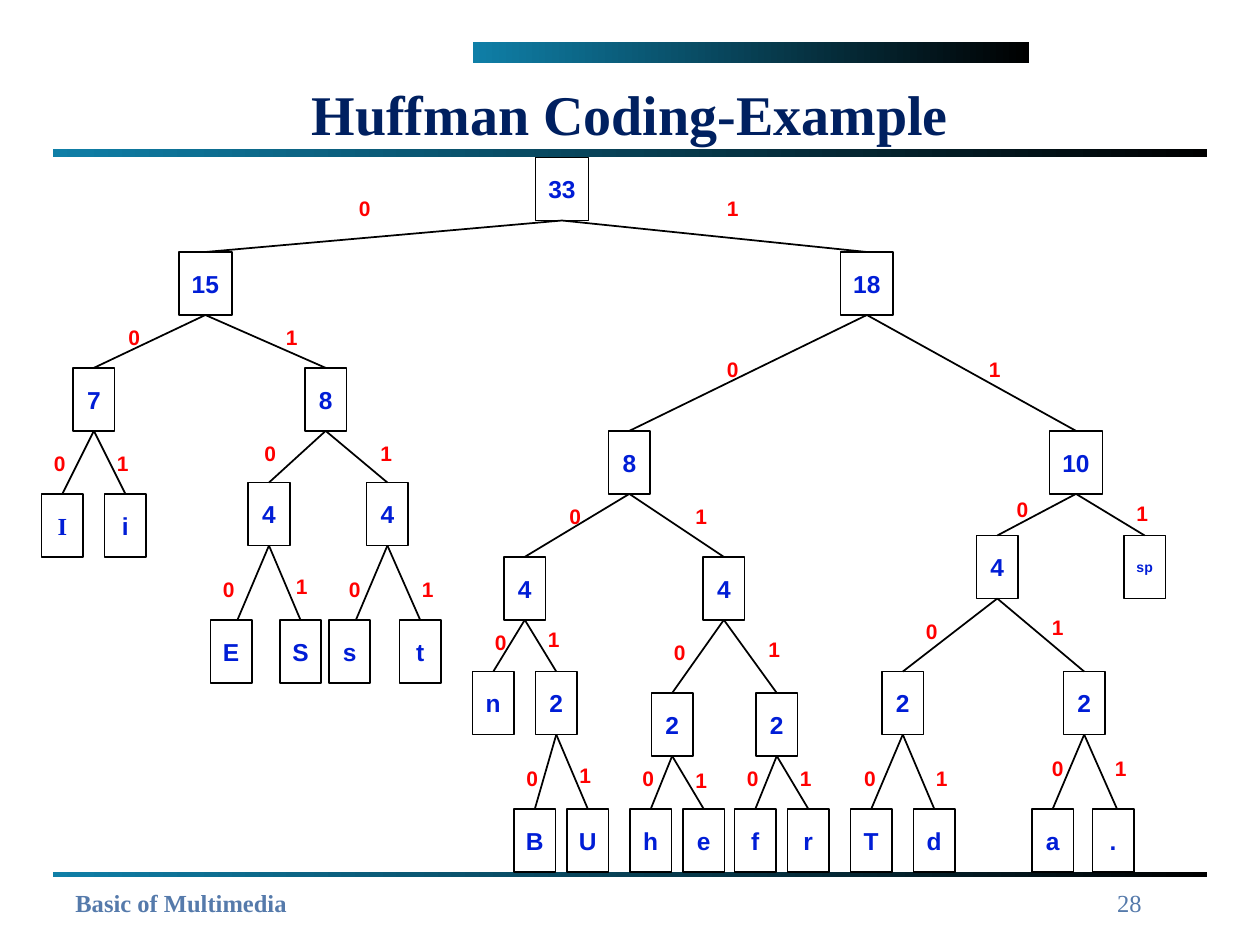
from dataclasses import dataclass
from typing import Optional

from lxml import etree
from pptx import Presentation
from pptx.dml.color import RGBColor
from pptx.enum.shapes import MSO_CONNECTOR, MSO_SHAPE
from pptx.enum.text import MSO_ANCHOR, PP_ALIGN
from pptx.oxml.ns import qn
from pptx.util import Inches, Pt

RECTANGLE = MSO_SHAPE.RECTANGLE
STRAIGHT = MSO_CONNECTOR.STRAIGHT
MIDDLE, TOP = MSO_ANCHOR.MIDDLE, MSO_ANCHOR.TOP
LEFT, CENTER, RIGHT = PP_ALIGN.LEFT, PP_ALIGN.CENTER, PP_ALIGN.RIGHT
TITLE_ONLY = 5
SERIF, SANS = "Times New Roman", "Arial"
BLACK, WHITE = "000000", "FFFFFF"
TEAL, NAVY, STEEL = "0F7FA7", "002060", "557AAB"
NODE_BLUE, BIT_RED = "001DD6", "FF0000"
NODE_HEIGHT, NODE_WIDTH, WIDE_NODE = 0.5, 0.33, 0.42

TITLE_FONT = {"name": SERIF, "size": Pt(32), "bold": True}
FOOTER_FONT = {"name": SERIF, "size": Pt(14), "bold": True}
NUMBER_FONT = {"name": SERIF, "size": Pt(14), "bold": False}
NODE_FONT = {"name": SANS, "size": Pt(14), "bold": True}
BIT_FONT = {"name": SANS, "size": Pt(12), "bold": True}
NODE_FONT_CHANGES = {"sp": {"size": Pt(8)}, "I": {"name": SERIF}}
NO_MARGINS = {"margin_left": 0, "margin_right": 0, "margin_top": 0, "margin_bottom": 0}


@dataclass
class Node:
    text: str
    left: float
    top: float
    children: tuple = ()
    bit_places: tuple = ()
    joint_shift: float = 0

    @property
    def width(self):
        return WIDE_NODE if self.text.isdigit() and len(self.text) > 1 else NODE_WIDTH

    @property
    def center(self):
        return self.left + self.width / 2


def leaves(top, zero, one):
    return Node(zero[0], zero[1], top, (), (), *zero[2:]), Node(one[0], one[1], top, (), (), *one[2:])


LEFT_TREE = Node("15", 1.09, 0.75, (
    Node("7", 0.25, 1.67, leaves(2.67, ("I", 0), ("i", 0.5)), ((0, 2.28), (0.5, 2.28))),
    Node("8", 2.09, 1.67, (
        Node("4", 1.64, 2.58, leaves(3.67, ("E", 1.34, 0.05), ("S", 1.89)), ((1.34, 3.28), (1.92, 3.25))),
        Node("4", 2.58, 2.58, leaves(3.67, ("s", 2.28, 0.05), ("t", 2.84)), ((2.34, 3.28), (2.92, 3.28))),
    ), ((1.67, 2.2), (2.59, 2.2))),
), ((0.59, 1.28), (1.84, 1.28)))

MIDDLE_TREE = Node("8", 4.5, 2.17, (
    Node("4", 3.67, 3.17, (
        Node("n", 3.42, 4.08),
        Node("2", 3.92, 4.08, leaves(5.17, ("B", 3.75), ("U", 4.17)), ((3.75, 4.78), (4.17, 4.75))),
    ), ((3.5, 3.7), (3.92, 3.67))),
    Node("4", 5.25, 3.17, (
        Node("2", 4.84, 4.25, leaves(5.17, ("h", 4.67), ("e", 5.09)), ((4.67, 4.78), (5.09, 4.79))),
        Node("2", 5.67, 4.25, leaves(5.17, ("f", 5.5), ("r", 5.92)), ((5.5, 4.78), (5.92, 4.78))),
    ), ((4.92, 3.78), (5.67, 3.75))),
), ((4.09, 2.7), (5.09, 2.7)))

RIGHT_TREE = Node("10", 8, 2.17, (
    Node("4", 7.42, 3, (
        Node("2", 6.67, 4.08, leaves(5.17, ("T", 6.42), ("d", 6.92)), ((6.43, 4.78), (7, 4.78))),
        Node("2", 8.11, 4.08, leaves(5.17, ("a", 7.86), (".", 8.34, 0.03)), ((7.92, 4.7), (8.42, 4.7))),
    ), ((6.92, 3.61), (7.92, 3.58))),
    Node("sp", 8.59, 3),
), ((7.64, 2.64), (8.59, 2.67)))

HUFFMAN_TREE = Node("33", 3.92, 0, (
    LEFT_TREE,
    Node("18", 6.34, 0.75, (MIDDLE_TREE, RIGHT_TREE), ((5.34, 1.53), (7.42, 1.53))),
), ((2.42, 0.25), (5.34, 0.25)))


def color(hex_value):
    return RGBColor.from_string(hex_value)


def set_attributes(target, values):
    for name, value in values.items():
        setattr(target, name, value)


def write(shape, text, font, hex_value, alignment=LEFT, anchor=TOP, margins: Optional[dict] = None):
    frame = shape.text_frame
    set_attributes(frame, {"word_wrap": True, "vertical_anchor": anchor, **(margins or {})})
    paragraph = frame.paragraphs[0]
    paragraph.alignment = alignment
    run = paragraph.add_run()
    run.text = text
    set_attributes(run.font, font)
    run.font.color.rgb = color(hex_value)


def add_text(slide, box, text, font, hex_value, alignment=LEFT):
    shape = slide.shapes.add_textbox(*map(Inches, box))
    write(shape, text, font, hex_value, alignment)


def add_bar(slide, box):
    bar = slide.shapes.add_shape(RECTANGLE, *map(Inches, box))
    bar.shadow.inherit = False
    bar.line.fill.background()
    bar.fill.gradient()
    bar.fill.gradient_angle = 0
    for stop, hex_value in zip(bar.fill.gradient_stops, (TEAL, BLACK)):
        stop.color.rgb = color(hex_value)


def add_header(slide, box):
    left, top, width, height = box
    add_bar(slide, (left + 3.33, top, 4.42, 0.17))
    add_bar(slide, (left, top + height - 0.07, width, 0.07))
    title = slide.shapes.title
    set_attributes(title, {"left": Inches(left), "top": Inches(top + 0.23),
                           "width": Inches(width), "height": Inches(0.67)})
    write(title, "Huffman Coding-Example", TITLE_FONT, NAVY, CENTER, MIDDLE)


def add_footer(slide, box):
    left, top, width, height = box
    add_bar(slide, (left, top, width, 0.04))
    add_text(slide, (left + 0.08, top + 0.08, 6.08, 0.33), "Basic of Multimedia", FOOTER_FONT, STEEL)
    add_text(slide, (left + 6.66, top + 0.08, 2.08, height - 0.08), "28", NUMBER_FONT, STEEL, RIGHT)


def add_branch(slide, start, end):
    branch = slide.shapes.add_connector(STRAIGHT, *map(Inches, (*start, *end)))
    branch.line.color.rgb = color(BLACK)
    branch.line.width = Pt(1)
    etree.SubElement(branch.element.spPr, qn("a:effectLst"))


def add_node(slide, box, node):
    left, top = box[:2]
    shape = slide.shapes.add_shape(RECTANGLE, *map(Inches, (
        left + node.left, top + node.top, node.width, NODE_HEIGHT)))
    shape.shadow.inherit = False
    shape.fill.solid()
    shape.fill.fore_color.rgb = color(WHITE)
    shape.line.color.rgb = color(BLACK)
    shape.line.width = Pt(1)
    font = {**NODE_FONT, **NODE_FONT_CHANGES.get(node.text, {})}
    write(shape, node.text, font, NODE_BLUE, CENTER, MIDDLE, NO_MARGINS)


def add_tree(slide, box, node):
    left, top = box[:2]
    add_node(slide, box, node)
    for child in node.children:
        add_tree(slide, box, child)
        add_branch(slide, (left + node.center, top + node.top + NODE_HEIGHT),
                   (left + child.center + child.joint_shift, top + child.top))
    for bit, (bit_left, bit_top) in enumerate(node.bit_places):
        add_text(slide, (left + bit_left, top + bit_top, 0.33, 0.3), str(bit), BIT_FONT, BIT_RED)


def build_slide(presentation):
    slide = presentation.slides.add_slide(presentation.slide_layouts[TITLE_ONLY])
    add_header(slide, (0.42, 0.33, 9.16, 0.92))
    add_footer(slide, (0.42, 6.92, 9.16, 0.58))
    add_tree(slide, (0.33, 1.25, 8.92, 5.67), HUFFMAN_TREE)


presentation = Presentation()
presentation.slide_width, presentation.slide_height = Inches(10), Inches(7.5)
build_slide(presentation)
presentation.save("out.pptx")
